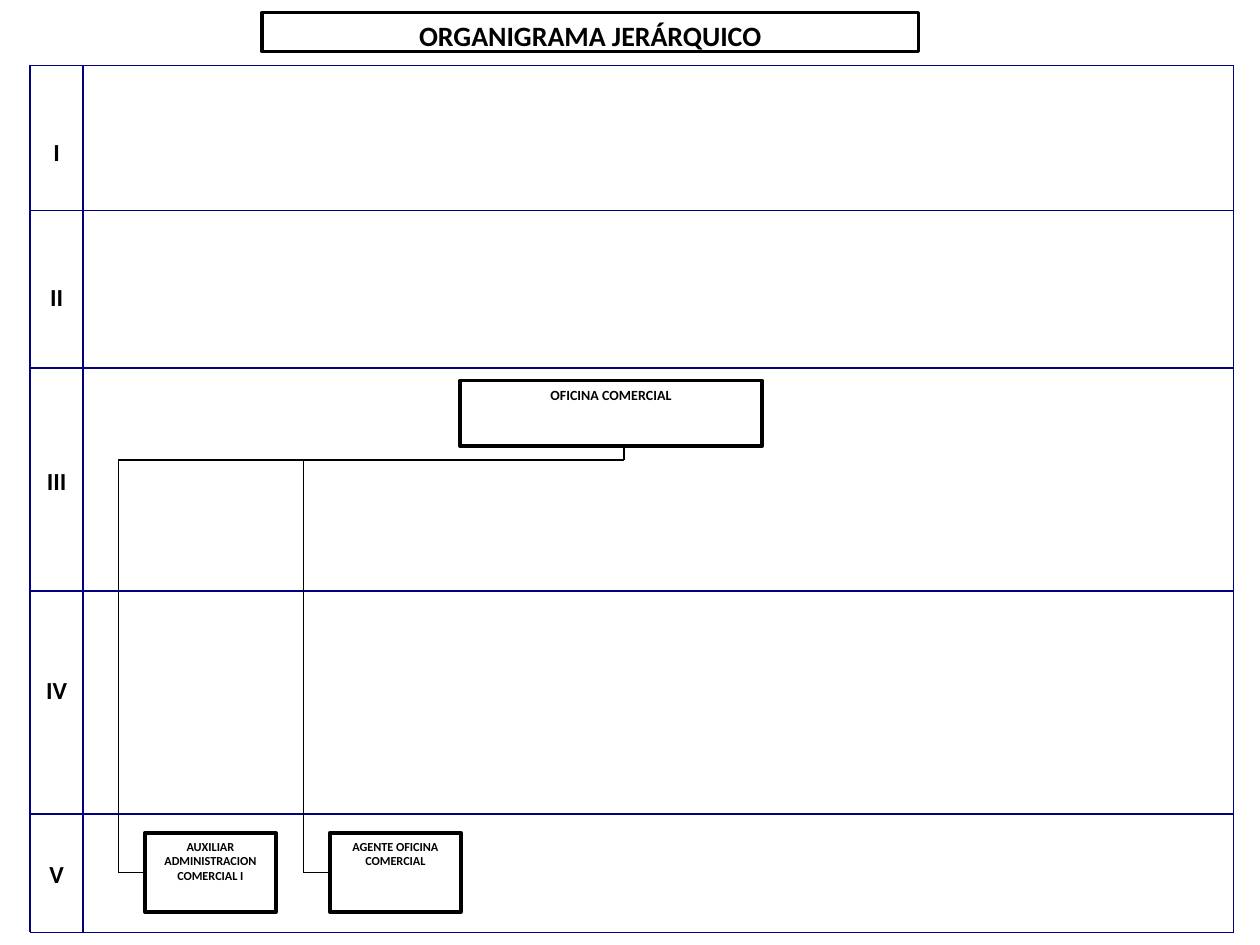
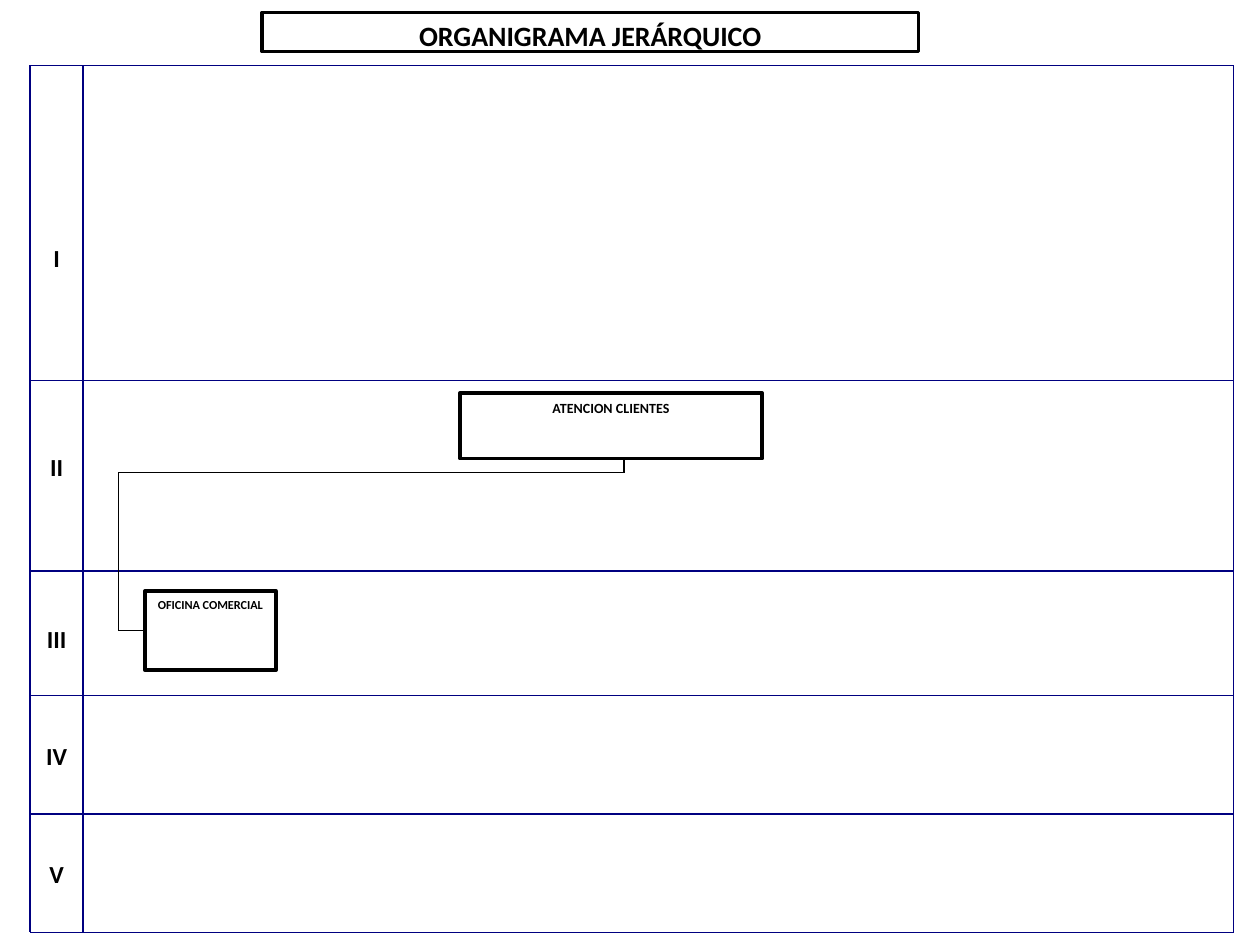
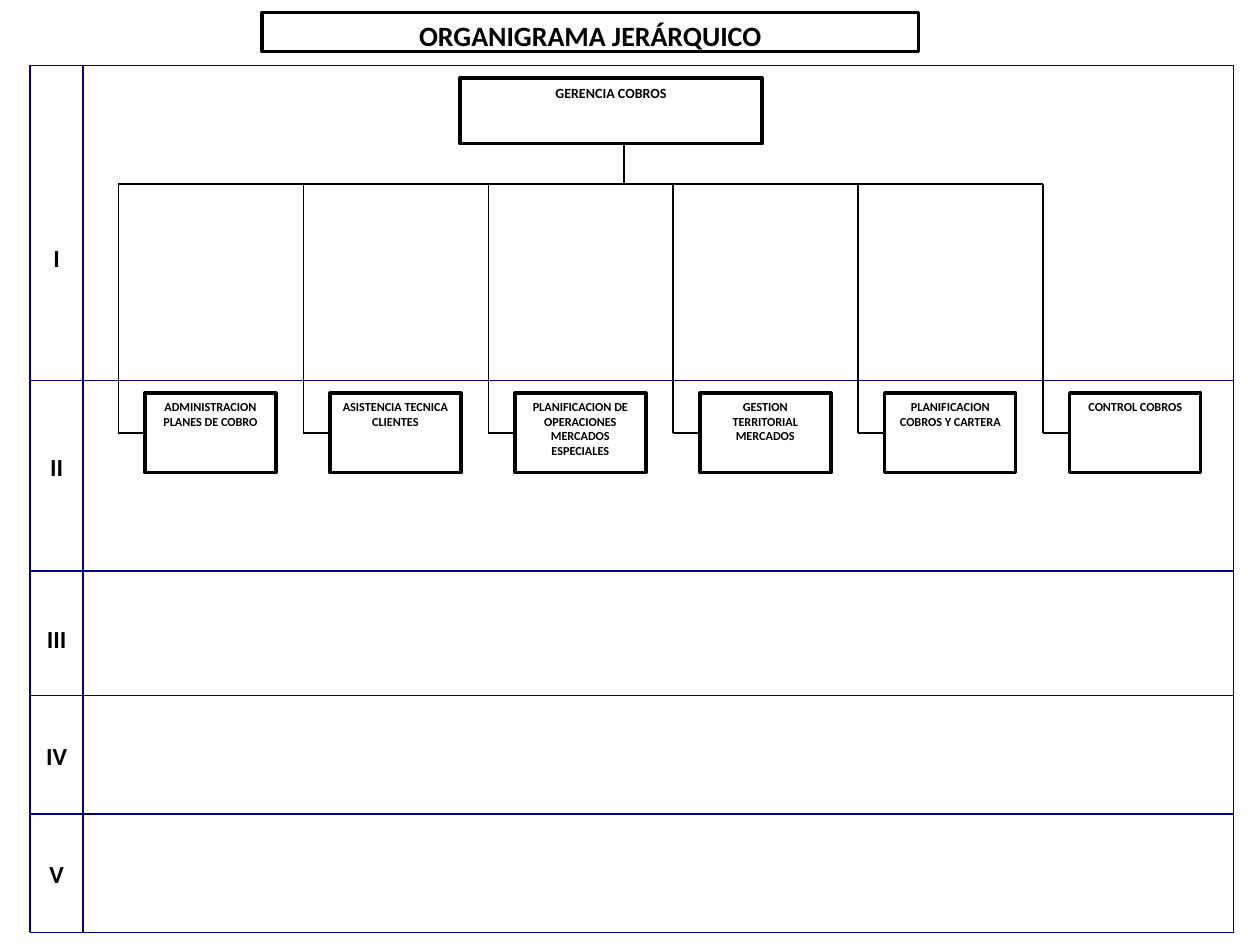
from itertools import pairwise

from lxml.etree import SubElement
from pptx import Presentation
from pptx.dml.color import RGBColor
from pptx.enum.shapes import MSO_CONNECTOR as Connector, MSO_SHAPE as Shape
from pptx.enum.text import MSO_ANCHOR as Anchor, PP_ALIGN as Align
from pptx.oxml.ns import qn
from pptx.util import Inches, Pt

FONT = "Calibri"
BLACK = "000000"
NAVY = "000080"
WHITE = "FFFFFF"

TITLE = "ORGANIGRAMA JERÁRQUICO"
LEVELS = ["I", "II", "III", "IV", "V"]
GRID_LEFT, LABEL_RIGHT, GRID_RIGHT = 0.24, 0.66, 9.79
STEM_X = 4.95
PARENT_LEFT, PARENT_WIDTH, PARENT_HEIGHT = 3.65, 2.4, 0.52
FIRST_CHILD, LAST_CHILD, CHILD_COLUMNS = 1.15, 8.49, 6
CHILD_PITCH = (LAST_CHILD - FIRST_CHILD) / (CHILD_COLUMNS - 1)
CHILD_WIDTH, CHILD_HEIGHT = 1.04, 0.63
BRANCH = 0.21

LOWER_ROWS = [0.52, 3.02, 4.53, 5.52, 6.46, 7.4]
LOWER_LABELS = [1.88, 3.54, 4.9, 5.83, 6.77]

CHARTS = [
    {
        "rows": [0.52, 1.67, 2.92, 4.69, 6.46, 7.4],
        "labels": [1.04, 2.19, 3.65, 5.31, 6.77],
        "parent": "OFICINA COMERCIAL",
        "parent_top": 3.02,
        "bus": 3.65,
        "child_top": 6.61,
        "children": ["AUXILIAR ADMINISTRACION COMERCIAL I", "AGENTE OFICINA COMERCIAL"],
    },
    {
        "rows": LOWER_ROWS,
        "labels": LOWER_LABELS,
        "parent": "ATENCION CLIENTES",
        "parent_top": 3.12,
        "bus": 3.75,
        "child_top": 4.69,
        "children": ["OFICINA COMERCIAL"],
    },
    {
        "rows": LOWER_ROWS,
        "labels": LOWER_LABELS,
        "parent": "GERENCIA COBROS",
        "parent_top": 0.62,
        "bus": 1.46,
        "child_top": 3.12,
        "children": [
            "ADMINISTRACION PLANES DE COBRO",
            "ASISTENCIA TECNICA CLIENTES",
            "PLANIFICACION DE OPERACIONES MERCADOS ESPECIALES",
            "GESTION TERRITORIAL MERCADOS",
            "PLANIFICACION COBROS Y CARTERA",
            "CONTROL COBROS",
        ],
    },
]


def color(value):
    return RGBColor.from_string(value)


def write_text(box, text, size):
    frame = box.text_frame
    frame.word_wrap = True
    frame.vertical_anchor = Anchor.TOP
    frame.margin_left = frame.margin_right = Inches(0.09)
    para = frame.paragraphs[0]
    para.alignment = Align.CENTER
    span = para.add_run()
    span.text = text
    span.font.name = FONT
    span.font.size = Pt(size)
    span.font.bold = True
    span.font.color.rgb = color(BLACK)


def add_box(page, left, top, width, height, text, size):
    box = page.shapes.add_shape(
        Shape.RECTANGLE, Inches(left), Inches(top), Inches(width), Inches(height))
    box.shadow.inherit = False
    box.fill.background()
    box.line.color.rgb = color(BLACK)
    box.line.width = Pt(2)
    write_text(box, text, size)
    return box


def add_label(page, top, text):
    box = page.shapes.add_textbox(
        Inches(GRID_LEFT), Inches(top), Inches(LABEL_RIGHT - GRID_LEFT), Inches(0.31))
    write_text(box, text, 14)


def add_line(page, x1, y1, x2, y2, line_color=BLACK):
    line = page.shapes.add_connector(
        Connector.STRAIGHT, Inches(x1), Inches(y1), Inches(x2), Inches(y2))
    line.line.color.rgb = color(line_color)
    line.line.width = Pt(1)
    SubElement(line._element.spPr, qn("a:effectLst"))
    return line


def add_level_grid(page, rows, labels):
    for y in rows:
        add_line(page, GRID_LEFT, y, GRID_RIGHT, y, NAVY)
    for x in (GRID_LEFT, LABEL_RIGHT, GRID_RIGHT):
        add_line(page, x, rows[0], x, rows[-1], NAVY)
    for top, level in zip(labels, LEVELS):
        add_label(page, top, level)


def add_parent(page, text, top, bus):
    add_box(page, PARENT_LEFT, top, PARENT_WIDTH, PARENT_HEIGHT, text, 8)
    add_line(page, STEM_X, top + PARENT_HEIGHT, STEM_X, bus)


def add_child(page, left, top, bus, text):
    box = add_box(page, left, top, CHILD_WIDTH, CHILD_HEIGHT, text, 7)
    rail = left - BRANCH
    middle = top + CHILD_HEIGHT / 2
    branch = add_line(page, rail, middle, left, middle)
    branch.end_connect(box, 1)
    add_line(page, rail, bus, rail, middle)


def add_children(page, names, top, bus):
    lefts = [FIRST_CHILD + column * CHILD_PITCH for column in range(len(names))]
    for left, name in zip(lefts, names):
        add_child(page, left, top, bus, name)
    rails = [left - BRANCH for left in lefts]
    joints = [rails[0], STEM_X] + [rail for rail in rails if rail > STEM_X]
    for start, end in pairwise(joints):
        add_line(page, start, bus, end, bus)


def add_chart_page(deck, chart):
    page = deck.slides.add_slide(deck.slide_layouts[6])
    page.background.fill.solid()
    page.background.fill.fore_color.rgb = color(WHITE)
    add_box(page, 2.08, 0.1, 5.21, 0.31, TITLE, 16)
    add_parent(page, chart["parent"], chart["parent_top"], chart["bus"])
    add_level_grid(page, chart["rows"], chart["labels"])
    add_children(page, chart["children"], chart["child_top"], chart["bus"])


def main():
    deck = Presentation()
    deck.slide_width = Inches(10)
    deck.slide_height = Inches(7.5)
    for chart in CHARTS:
        add_chart_page(deck, chart)
    deck.save("out.pptx")


if __name__ == "__main__":
    main()
